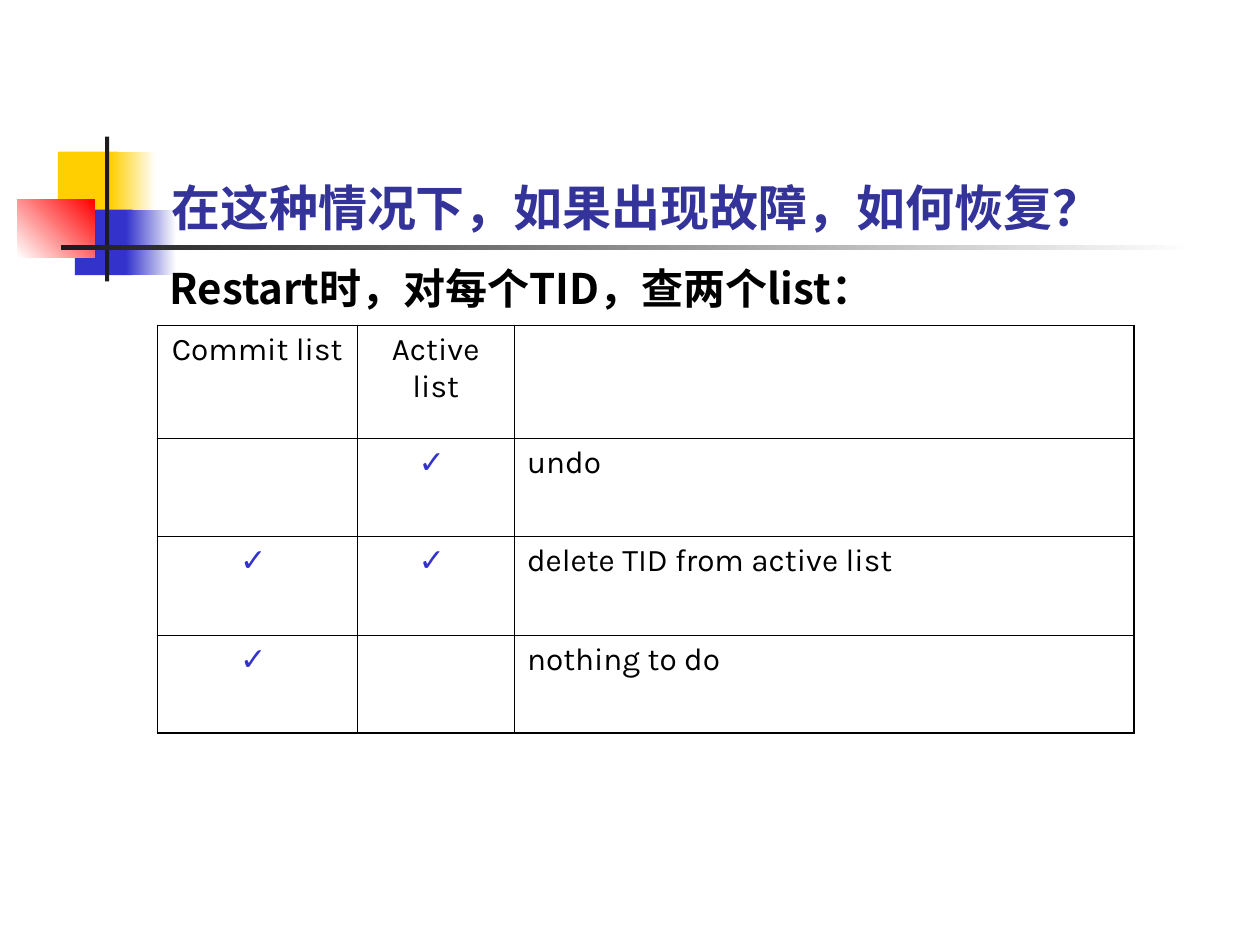
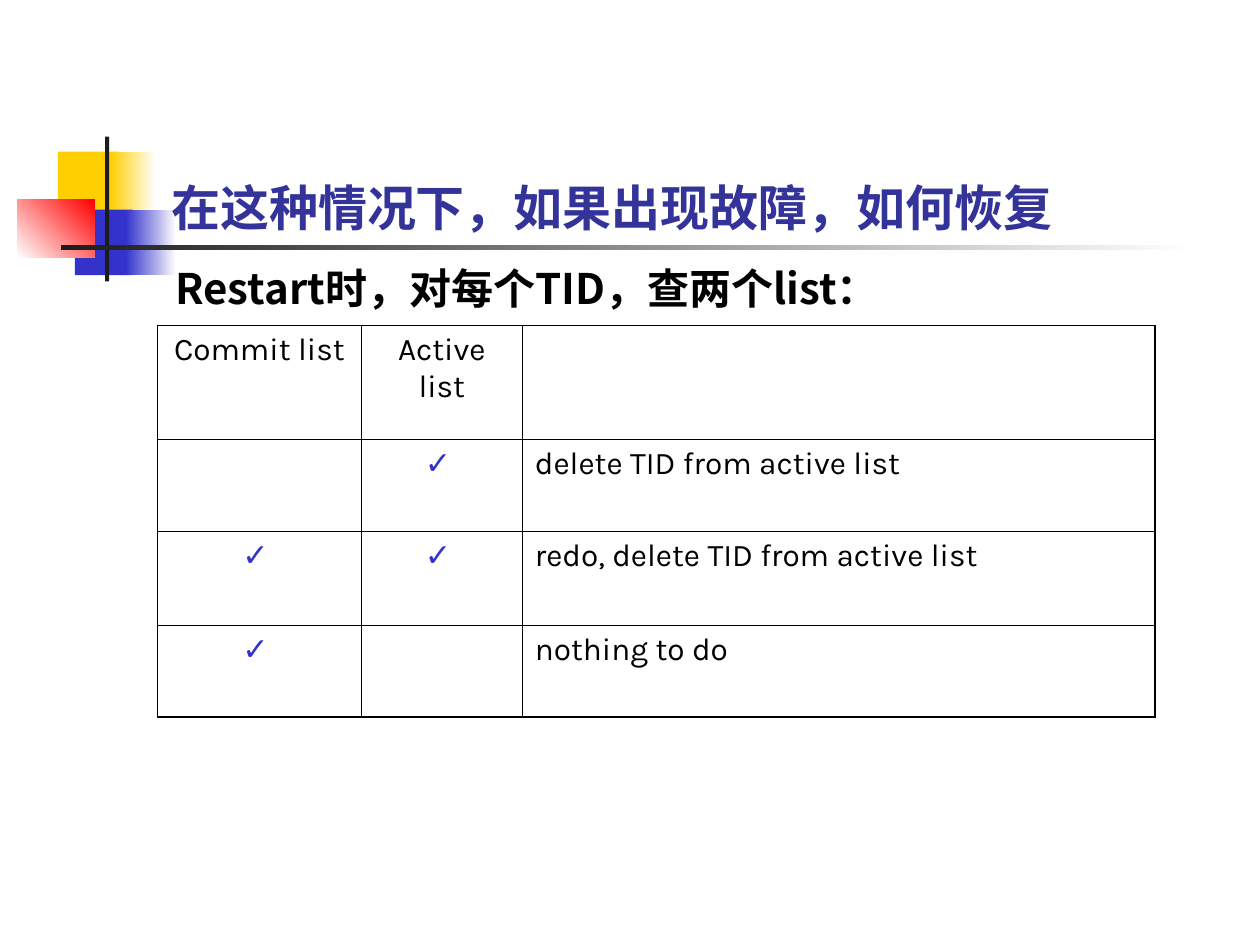
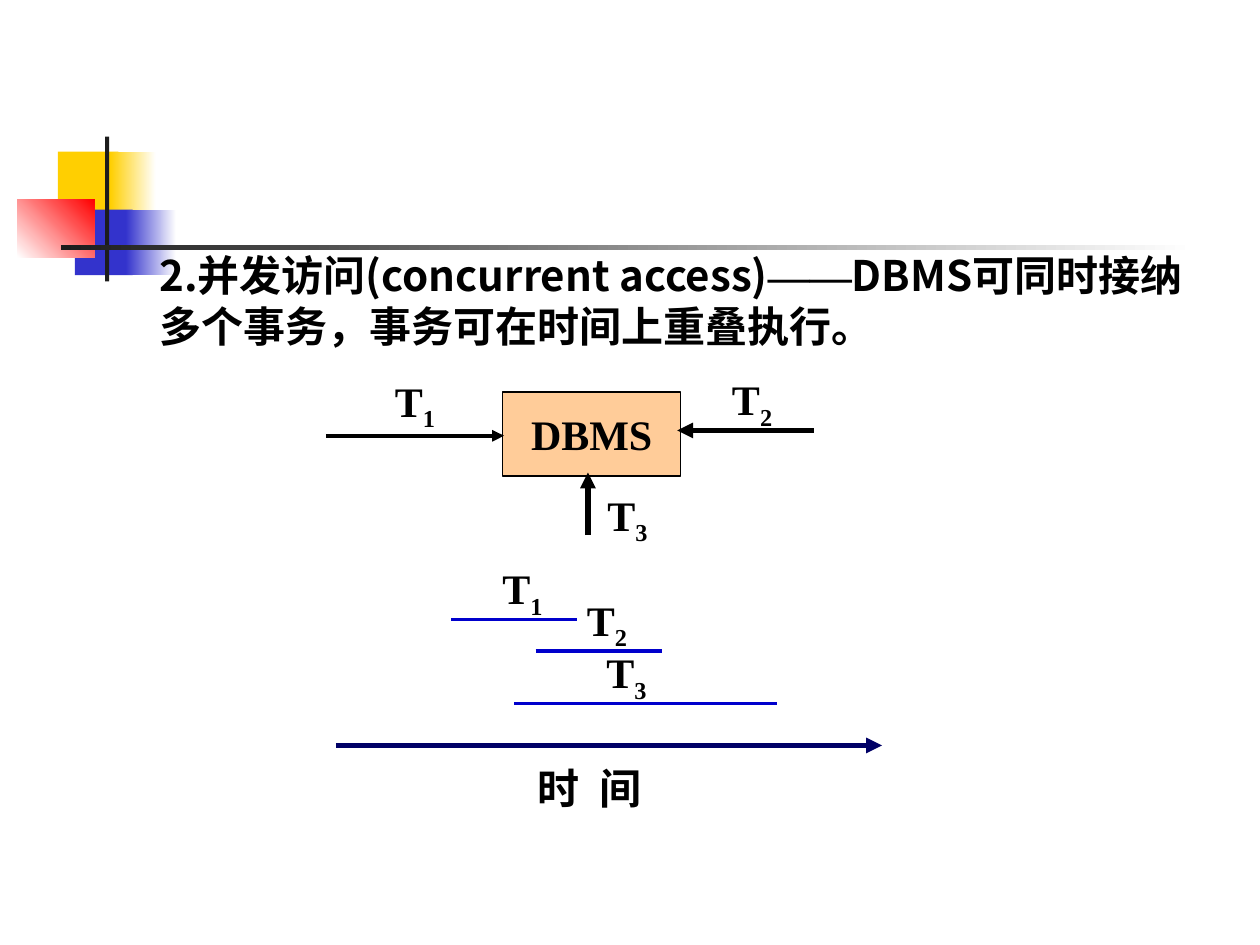
from pptx import Presentation
from pptx.dml.color import RGBColor
from pptx.enum.shapes import MSO_CONNECTOR, MSO_SHAPE
from pptx.enum.text import MSO_ANCHOR, MSO_AUTO_SIZE, PP_ALIGN
from pptx.oxml.ns import qn
from pptx.util import Pt
from lxml.etree import SubElement, Element

HUES = {
    "black": "000000", "white": "FFFFFF", "ink": "1C1C1C", "gold": "FFCF01",
    "blue": "3333CC", "red": "FF0000", "title": "333399", "peach": "FFCC99",
    "navy": "000066", "span": "0000CC",
}
SANS, LATIN, SERIF = "Noto Sans CJK SC", "Karla", "Times New Roman"
LEFT, MID = PP_ALIGN.LEFT, PP_ALIGN.CENTER
TICK = "✓"


def hue(name):
    """Return the named colour."""
    return RGBColor.from_string(HUES[name])


def pts(*nums):
    """Turn numbers into lengths in points."""
    return [Pt(num) for num in nums]


def tint(node, name):
    """Add a colour element to a node."""
    SubElement(node, qn("a:srgbClr")).set("val", HUES[name])


def write(frame, text, size=24, font=SERIF, color="black", bold=True,
          align=LEFT, lead=None, plain=False, bullet=None):
    """Fill a frame with text: a string, or pairs of string and run options."""
    para = frame.paragraphs[0]
    para.alignment = align
    if lead:
        para.line_spacing = lead
    if plain or bullet:
        props = para._p.get_or_add_pPr()
        props.set("marL", "0")
        props.set("indent", "0")
        if bullet:
            tint(SubElement(props, qn("a:buClr")), "blue")
            SubElement(props, qn("a:buFont")).set("typeface", font)
            SubElement(props, qn("a:buChar")).set("char", bullet)
        else:
            SubElement(props, qn("a:buNone"))
    for words, opts in [(text, {})] if isinstance(text, str) else text:
        opts = dict(opts)
        run = para.add_run()
        run.text = words
        run.font.size, run.font.bold = Pt(size), bold
        run.font.name = opts.pop("font", font)
        run.font.color.rgb = hue(color)
        props = run._r.get_or_add_rPr()
        SubElement(props, qn("a:ea")).set("typeface", SANS)
        for key, value in opts.items():
            props.set(key, value)


def rect(shapes, box, fill, fade=None, angle=0):
    """Add a flat or fading rectangle without outline."""
    shape = shapes.add_shape(MSO_SHAPE.RECTANGLE, *pts(*box))
    shape.shadow.inherit = False
    shape.line.fill.background()
    if fade:
        shape.fill.gradient()
        shape.fill.gradient_angle = angle
        for stop, name in zip(shape.fill.gradient_stops, (fill, fade)):
            stop.color.rgb = hue(name)
    else:
        shape.fill.solid()
        shape.fill.fore_color.rgb = hue(fill)
    return shape


def label(shapes, box, text, wrap=False, **form):
    """Add a text box."""
    frame = shapes.add_textbox(*pts(*box)).text_frame
    frame.word_wrap = wrap
    write(frame, text, **form)


def line(shapes, ends, color, width, arrow=False):
    """Add a straight line, with an arrowhead if asked."""
    link = shapes.add_connector(MSO_CONNECTOR.STRAIGHT, *pts(*ends))
    link.line.color.rgb = hue(color)
    link.line.width = Pt(width)
    if arrow:
        SubElement(link.line._get_or_add_ln(), qn("a:tailEnd")).set("type", "triangle")
    SubElement(link._element.spPr, qn("a:effectLst"))


def brand(deck, slide):
    """Draw the shared blocks and rules, and move them to the master."""
    parts = [
        ((33.1, 86.6, 34.6, 37.4), "gold"),
        ((63.1, 86.6, 25.9, 37.4), "gold", "white"),
        ((42.8, 119.8, 33.1, 37.4), "blue"),
        ((72, 119.8, 28.8, 37.4), "blue", "white"),
        ((10, 113.8, 44, 33.4), "white", "red", 45),
        ((60, 78, 2.4, 82.8), "ink"),
        ((34.8, 140.2, 648, 2.6), "ink", "white"),
    ]
    for part in parts:
        shape = rect(slide.shapes, *part)
        deck.slide_master.shapes.element.append(shape._element)


def hold(shape, box, text, anchor, **form):
    """Move a placeholder and fill it."""
    shape.left, shape.top, shape.width, shape.height = pts(*box)
    frame = shape.text_frame
    frame.auto_size = MSO_AUTO_SIZE.NONE
    frame.word_wrap = True
    frame.vertical_anchor = anchor
    write(frame, text, **form)


def edge(cell, sides):
    """Draw the four borders of a cell, given their widths."""
    props = cell._tc.get_or_add_tcPr()
    for spot, (side, width) in enumerate(sides.items()):
        rule = Element(qn(f"a:ln{side}"), w=str(Pt(width)))
        tint(SubElement(rule, qn("a:solidFill")), "black")
        props.insert(spot, rule)


def grid(slide, left, top, cols, rows, data):
    """Add the table of lists and actions."""
    frame = slide.shapes.add_table(len(rows), len(cols),
                                   *pts(left, top, sum(cols), sum(rows)))
    table = frame.table
    table.first_row = table.horz_banding = False
    for col, width in zip(table.columns, cols):
        col.width = Pt(width)
    thick, thin = 1.08, 0.45
    for i, high in enumerate(rows):
        table.rows[i].height = Pt(high)
        for j, text in enumerate(data[i]):
            cell = table.cell(i, j)
            cell.fill.background()
            edge(cell, {
                "L": thin if j else thick,
                "R": thick if j == len(cols) - 1 else thin,
                "T": thin if i else thick,
                "B": thick if i == len(rows) - 1 else thin,
            })
            form = {"size": 18, "font": LATIN, "bold": False,
                    "align": LEFT if j == 2 else MID}
            if text == TICK:
                write(cell.text_frame, " ", bullet=TICK, **form)
            else:
                write(cell.text_frame, text, **form)


def lists(slide, title, font, left, cols, rows, acts):
    """Build a slide on the two lists checked at restart."""
    hold(slide.shapes.title, (90.7, 48.4, 613.4, 90), title, MSO_ANCHOR.BOTTOM,
         size=28, font=font, color="title")
    hold(slide.placeholders[1], (left, 149.8, 612, 324), "Restart时，对每个TID，查两个list：",
         MSO_ANCHOR.TOP, font=SANS, lead=0.9, plain=True)
    marks = [("", TICK), (TICK, TICK), (TICK, "")]
    data = [("Commit list", "Active list", "")]
    data += [(*pair, act) for pair, act in zip(marks, acts)]
    grid(slide, 90, 186, cols, rows, data)


def mark(shapes, num, left, top):
    """Label a transaction with its number as subscript."""
    label(shapes, (left, top, 37.4, 40.3), [("T", {}), (str(num), {"baseline": "-25000"})])


def access(shapes, x, y):
    """Draw the transactions that enter the system."""
    hub = rect(shapes, (x + 101.2, y + 14, 101.8, 48), "peach")
    hub.line.color.rgb = hue("black")
    hub.line.width = Pt(0.75)
    hub.text_frame.word_wrap = False
    hub.text_frame.vertical_anchor = MSO_ANCHOR.MIDDLE
    write(hub.text_frame, "DBMS", align=MID)
    flows = [
        (0.2, 39, 102, 39, 2.25, 32.5, 1),
        (279, 36, 201, 36, 3, 225.2, 0),
        (150, 95.8, 150, 60, 3, 154, 66),
    ]
    for num, (x1, y1, x2, y2, width, left, top) in enumerate(flows, 1):
        line(shapes, (x + x1, y + y1, x + x2, y + y2), "black", width, True)
        mark(shapes, num, x + left, y + top)


def times(shapes, x, y):
    """Draw the overlapping spans above the time axis."""
    line(shapes, (x, y + 108, x + 312, y + 108), "navy", 3, True)
    label(shapes, (x + 108, y + 114, 114, 36),
          [("时", {}), (" ", {"spc": "600"}), ("间", {})], wrap=True)
    spans = [(66, 36, 72, 88), (114, 54, 72, 136.3), (102, 84, 150, 147.4)]
    for num, (left, down, width, text) in enumerate(spans, 1):
        line(shapes, (x + left, y + down, x + left + width, y + down), "span", 2.25)
        mark(shapes, num, x + text, y + down - 36)


def overlap(slide):
    """Build the slide on concurrent access."""
    label(slide.shapes, (84, 139.3, 600, 64.8), [
        ("2.并发访问(concurrent access)", {}),
        ("——", {"font": SERIF}),
        ("DBMS可同时接纳多个事务，事务可在时间上重叠执行。", {}),
    ], wrap=True, font=SANS)
    access(slide.shapes.add_group_shape().shapes, 186, 210)
    times(slide.shapes.add_group_shape().shapes, 192, 318)


def main():
    """Build and save the deck."""
    deck = Presentation()
    deck.slide_width, deck.slide_height = pts(720, 540)
    body, blank = deck.slide_layouts[1], deck.slide_layouts[6]
    first = deck.slides.add_slide(body)
    brand(deck, first)
    drop = "delete TID from active list"
    lists(first, "在这种情况下，如果出现故障，如何恢复？", LATIN, 89.8,
          (114, 90, 354), (64.5, 56.2, 56.2, 56.2), ("undo", drop, "nothing to do"))
    lists(deck.slides.add_slide(body), "在这种情况下，如果出现故障，如何恢复", SERIF, 93,
          (116.5, 92, 361.5), (64.8, 52.6, 53.8, 52.4),
          (drop, f"redo, {drop}", "nothing to do"))
    overlap(deck.slides.add_slide(blank))
    deck.save("out.pptx")


if __name__ == "__main__":
    main()
